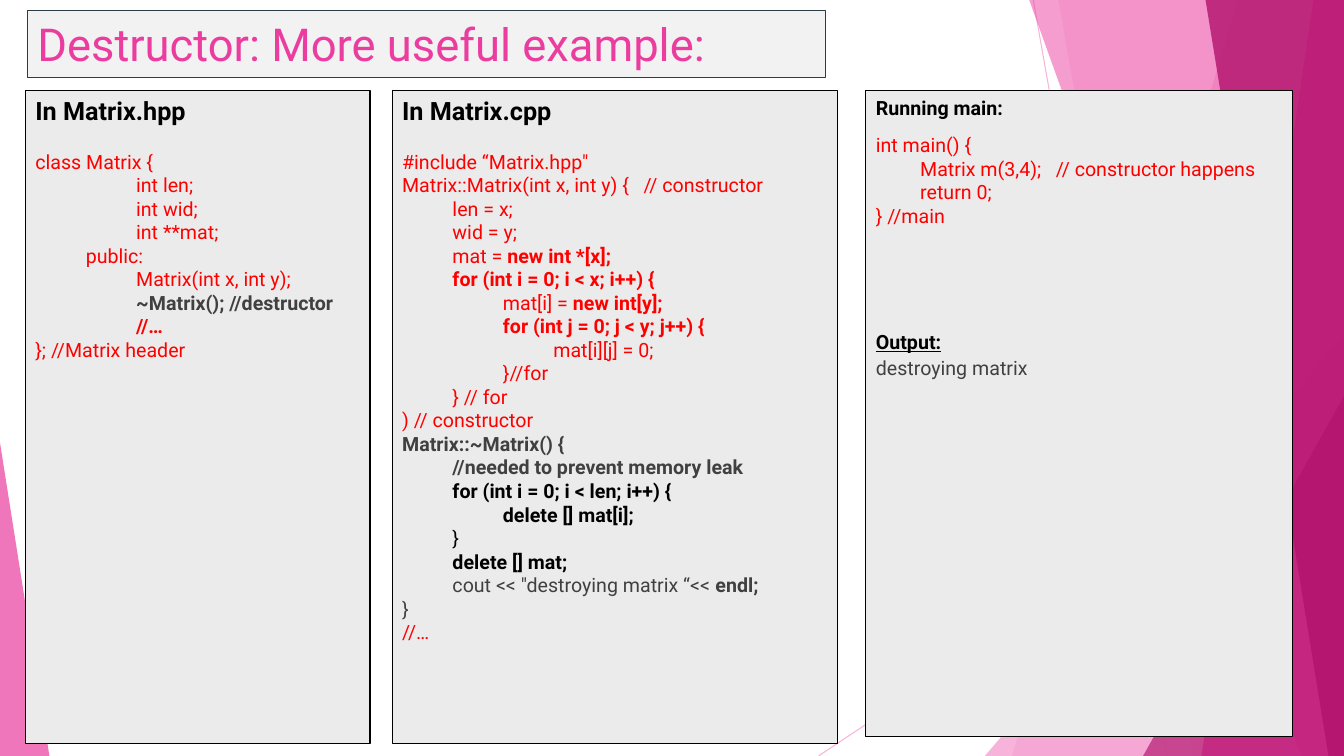
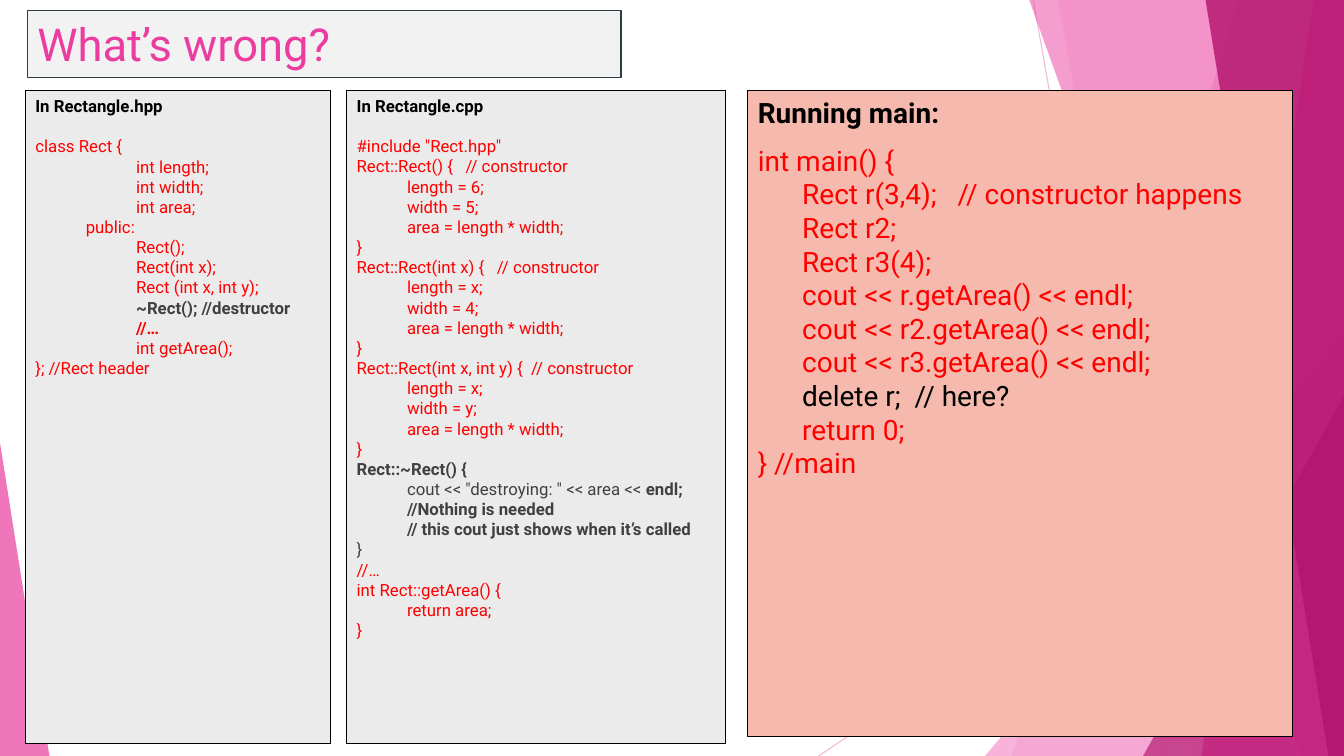
import dataclasses

import pptx
import pptx.dml.color
import pptx.enum.shapes
import pptx.enum.text
import pptx.oxml
import pptx.oxml.ns
import pptx.util


@dataclasses.dataclass(frozen=True)
class Theme:
    """Colours, type sizes and shared measures of the deck."""
    font: str = "Roboto"
    pale: str = "F496CB"
    pink: str = "EB3D9F"
    deep: str = "B2136D"
    title_fill: str = "F2F2F2"
    title_line: str = "2C3C43"
    grey_panel: str = "EBEBEB"
    warm_panel: str = "F5BAAD"
    black: str = "000000"
    red: str = "FF0000"
    grey: str = "404040"
    title_size: float = 32.4
    line_width: float = 0.75
    line_height: float = 1.2
    code_step: float = 0.5
    main_step: float = 0.44


THEME = Theme()
WIDTH = pptx.util.Inches(13.333)
HEIGHT = pptx.util.Inches(7.5)
PANEL_TOP = 12
SIDE_HEIGHT = 86.4
MAIN_HEIGHT = 85.47

STYLES = {
    "red": {"color": THEME.red, "bold": False},
    "red bold": {"color": THEME.red, "bold": True},
    "grey": {"color": THEME.grey, "bold": False},
    "grey bold": {"color": THEME.grey, "bold": True},
    "black": {"color": THEME.black, "bold": False},
    "black bold": {"color": THEME.black, "bold": True},
    "underlined": {"color": THEME.black, "bold": True, "underline": True},
}

# Back to front, in percent of the slide; opacity is the last value.
FACETS = [
    ("line", (76.88, 0, 86.85, 100), THEME.pale, 70),
    ("line", (100, 53.73, 60.9, 100), THEME.pale, 70),
    ("band", (92.1, 75.3), THEME.pale, 36),
    ("band", (78.75, 88.73), THEME.pale, 20),
    ("triangle", (73.28, 44.4, 26.72, 55.6, 1), THEME.pale, 72),
    ("band", (76.58, 96.83), THEME.pink, 50),
    ("band", (97.73, 89.4), THEME.pink, 70),
    ("band", (89.7, 98.85), THEME.deep, 80),
    ("triangle", (85.05, 52.4, 14.95, 47.6, 1), THEME.deep, 66),
    ("triangle", (0, 58.53, 3.68, 41.47, 0), THEME.pink, 70),
]


def across(percent):
    """Length as a share of the slide's width."""
    return round(WIDTH * percent / 100)


def down(percent):
    """Length as a share of the slide's height."""
    return round(HEIGHT * percent / 100)


def rgb(color):
    """Colour object for a hex string."""
    return pptx.dml.color.RGBColor.from_string(color)


def set_all(target, values):
    """Set every attribute named in a dict."""
    for name, value in values.items():
        setattr(target, name, value)


def paint(shape, fill, line=None):
    """Give a shape a solid fill and an optional thin outline."""
    shape.fill.solid()
    shape.fill.fore_color.rgb = rgb(fill)
    if line:
        shape.line.color.rgb = rgb(line)
        shape.line.width = pptx.util.Pt(THEME.line_width)
    else:
        shape.line.fill.background()


def set_opacity(shape, percent):
    """Make the first solid colour of a shape translucent."""
    color = shape.element.xpath(".//p:spPr//a:srgbClr")[0]
    alpha = pptx.oxml.parse_xml(
        f'<a:alpha {pptx.oxml.ns.nsdecls("a")} val="{percent * 1000}"/>')
    color.append(alpha)


def add_line(slide, ends, color):
    """Draw a hairline between two points."""
    left, top, right, bottom = ends
    line = slide.shapes.add_connector(
        pptx.enum.shapes.MSO_CONNECTOR.STRAIGHT,
        across(left), down(top), across(right), down(bottom))
    line.line.color.rgb = rgb(color)
    line.line.width = pptx.util.Pt(THEME.line_width)
    line.element.spPr.append(pptx.oxml.parse_xml(
        f'<a:effectLst {pptx.oxml.ns.nsdecls("a")}/>'))
    return line


def add_band(slide, edge, color):
    """Draw a full-height band from a slanted edge to the right side."""
    top, bottom = edge
    builder = slide.shapes.build_freeform(across(top), 0)
    builder.add_line_segments(
        [(WIDTH, 0), (WIDTH, HEIGHT), (across(bottom), HEIGHT)], close=True)
    band = builder.convert_to_shape()
    band.shadow.inherit = False
    paint(band, color)
    return band


def add_triangle(slide, area, color):
    """Draw a triangle whose tip sits at a share of its width."""
    left, top, width, height, tip = area
    triangle = slide.shapes.add_shape(
        pptx.enum.shapes.MSO_SHAPE.ISOSCELES_TRIANGLE,
        across(left), down(top), across(width), down(height))
    triangle.adjustments[0] = tip
    triangle.shadow.inherit = False
    paint(triangle, color)
    return triangle


def add_facets(slide, layout):
    """Draw the backdrop and move it to the shared layout."""
    makers = {"line": add_line, "band": add_band, "triangle": add_triangle}
    for index, (kind, area, color, opacity) in enumerate(FACETS):
        facet = makers[kind](slide, area, color)
        set_opacity(facet, opacity)
        facet.element.xpath("./*/p:cNvPr")[0].set("id", str(100 + index))
        layout.shapes.element.insert(2 + index, facet.element)


def add_span(para, text, size, style):
    """Add one formatted run."""
    values = dict(style)
    span = para.add_run()
    span.text = text
    span.font.color.rgb = rgb(values.pop("color"))
    set_all(span.font, {"name": THEME.font, "size": pptx.util.Pt(size), **values})


def format_para(para, before=0, indent=0):
    """Set spacing and left indent, without a bullet."""
    set_all(para, {"alignment": pptx.enum.text.PP_ALIGN.LEFT, "line_spacing": 1.0,
                   "space_before": pptx.util.Pt(before), "space_after": pptx.util.Pt(0)})
    properties = para._p.get_or_add_pPr()
    properties.set("marL", str(pptx.util.Inches(indent)))
    properties.set("indent", "0")
    properties.append(pptx.oxml.parse_xml(
        f'<a:buNone {pptx.oxml.ns.nsdecls("a")}/>'))


def prepare_frame(box, anchor):
    """Set wrapping, insets and anchor of a box; return its text frame."""
    side, edge = pptx.util.Inches(0.1), pptx.util.Inches(0.05)
    set_all(box.text_frame, {
        "word_wrap": True, "auto_size": pptx.enum.text.MSO_AUTO_SIZE.NONE,
        "vertical_anchor": anchor, "margin_left": side, "margin_right": side,
        "margin_top": edge, "margin_bottom": edge})
    return box.text_frame


def place(box, left, top, width, height):
    """Move a box to an area given in percent of the slide."""
    set_all(box, {"left": across(left), "top": down(top),
                  "width": across(width), "height": down(height)})


def set_title(slide, text, width):
    """Fill the title placeholder."""
    title = slide.shapes.title
    place(title, 2.03, 1.33, width, 8.93)
    paint(title, THEME.title_fill, THEME.title_line)
    frame = prepare_frame(title, pptx.enum.text.MSO_ANCHOR.MIDDLE)
    format_para(frame.paragraphs[0])
    add_span(frame.paragraphs[0], text, THEME.title_size, {"color": THEME.pink})


def block(style, text, before=0):
    """Turn tab-indented lines of one style into rows."""
    rows = []
    for index, line in enumerate(text.split("\n")):
        words = line.lstrip("\t")
        rows.append((0 if index else before, len(line) - len(words), [(style, words)]))
    return rows


def mixed(depth, *spans):
    """One row made of several styled spans."""
    return [(0, depth, spans)]


def add_panel(slide, left, width, rows, size, heading_size=None,
              height=SIDE_HEIGHT, fill=THEME.grey_panel, step=THEME.code_step, box=None):
    """Show a heading and code rows in an outlined panel."""
    if box is None:
        box = slide.shapes.add_shape(pptx.enum.shapes.MSO_SHAPE.RECTANGLE, 0, 0, 1, 1)
        box.shadow.inherit = False
    place(box, left, PANEL_TOP, width, height)
    paint(box, fill, THEME.black)
    frame = prepare_frame(box, pptx.enum.text.MSO_ANCHOR.TOP)
    for index, (before, depth, spans) in enumerate(rows):
        para = frame.add_paragraph() if index else frame.paragraphs[0]
        format_para(para, before, depth * step)
        span_size = size if index else heading_size or size
        for style, text in spans:
            add_span(para, text, span_size, STYLES[style])


def build_matrix(slide):
    """Slide with the matrix destructor."""
    size, heading_size = 14, 18
    blank = size * THEME.line_height
    set_title(slide, "Destructor: More useful example:", 59.4)
    header = (
        block("black bold", "In Matrix.hpp")
        + block("red", "class Matrix {\n\t\tint len;\n\t\tint wid;\n\t\tint **mat;\n"
                "\tpublic:\n\t\tMatrix(int x, int y);", blank)
        + block("grey bold", "\t\t~Matrix(); //destructor")
        + block("red bold", "\t\t//…")
        + block("red", "}; //Matrix header"))
    source = (
        block("black bold", "In Matrix.cpp")
        + block("red", "#include “Matrix.hpp\"\n"
                "Matrix::Matrix(int x, int y) {   // constructor\n\tlen = x;\n\twid = y;", blank)
        + mixed(1, ("red", "mat = "), ("red bold", "new int *[x];"))
        + block("red bold", "\tfor (int i = 0; i < x; i++) {")
        + mixed(2, ("red", "mat[i] = "), ("red bold", "new int[y];"))
        + block("red bold", "\t\tfor (int j = 0; j < y; j++) {")
        + block("red", "\t\t\tmat[i][j] = 0;\n\t\t}//for\n\t} // for\n) // constructor")
        + block("grey bold", "Matrix::~Matrix() {\n\t//needed to prevent memory leak")
        + block("black bold", "\tfor (int i = 0; i < len; i++) {\n\t\tdelete [] mat[i];")
        + block("black", "\t}")
        + block("black bold", "\tdelete [] mat;")
        + mixed(1, ("grey", "cout << \"destroying matrix “<< "), ("grey bold", "endl;"))
        + block("grey", "}")
        + block("red", "//…"))
    running = (
        block("black bold", "Running main:", 1)
        + block("red", "int main() {\n\tMatrix m(3,4);   // constructor happens\n"
                "\treturn 0;\n} //main", 10)
        + block("underlined", "Output:", 4 * blank + 6)
        + block("grey", "destroying matrix", 2))
    add_panel(slide, 1.88, 25.65, header, size, heading_size, box=slide.placeholders[1])
    add_panel(slide, 64.43, 31.73, running, size, height=MAIN_HEIGHT, step=THEME.main_step)
    add_panel(slide, 29.18, 33.15, source, size, heading_size)


def build_rectangle(slide):
    """Slide that asks what is wrong with the rectangle program."""
    size, main_size = 12, 20
    blank = size * THEME.line_height
    set_title(slide, "What’s wrong?", 44.18)
    header = (
        block("black bold", "In Rectangle.hpp")
        + block("red", "class Rect {\n\t\tint length;\n\t\tint width;\n\t\tint area;\n\tpublic:\n"
                "\t\tRect();\n\t\tRect(int x);\n\t\tRect (int x, int y);", blank)
        + block("grey bold", "\t\t~Rect(); //destructor")
        + block("red bold", "\t\t//…")
        + block("red", "\t\tint getArea();\n}; //Rect header"))
    source = block("black bold", "In Rectangle.cpp") + block("red", "#include \"Rect.hpp\"", blank)
    for signature, length, width in (("Rect() {   ", "6", "5"), ("Rect(int x) {   ", "x", "4"),
                                     ("Rect(int x, int y) {  ", "x", "y")):
        source += block("red", f"Rect::{signature}// constructor\n\tlength = {length};\n"
                        f"\twidth = {width};\n\tarea = length * width;\n}}")
    source += (
        block("grey bold", "Rect::~Rect() {")
        + mixed(1, ("grey", "cout << \"destroying: \" << area << "), ("grey bold", "endl;"))
        + block("grey bold", "\t//Nothing is needed\n\t// this cout just shows when it’s called")
        + block("grey", "}")
        + block("red", "//…\nint Rect::getArea() {\n\treturn area;\n}"))
    prints = "\n".join(f"\tcout << {name}.getArea() << endl;" for name in ("r", "r2", "r3"))
    running = (
        block("black bold", "Running main:", 1)
        + block("red", "int main() {\n\tRect r(3,4);   // constructor happens\n"
                "\tRect r2;\n\tRect r3(4);\n" + prints, 10)
        + block("black", "\tdelete r;  // here?")
        + block("red", "\treturn 0;\n} //main"))
    add_panel(slide, 1.88, 22.73, header, size, box=slide.placeholders[1])
    add_panel(slide, 55.65, 40.5, running, main_size, height=MAIN_HEIGHT,
              fill=THEME.warm_panel, step=THEME.main_step)
    add_panel(slide, 25.8, 28.2, source, size)


def main():
    """Build and save the deck."""
    deck = pptx.Presentation()
    set_all(deck, {"slide_width": WIDTH, "slide_height": HEIGHT})
    layout = deck.slide_layouts[1]
    pages = [deck.slides.add_slide(layout) for _ in range(2)]
    add_facets(pages[0], layout)
    build_matrix(pages[0])
    build_rectangle(pages[1])
    deck.save("out.pptx")


main()
